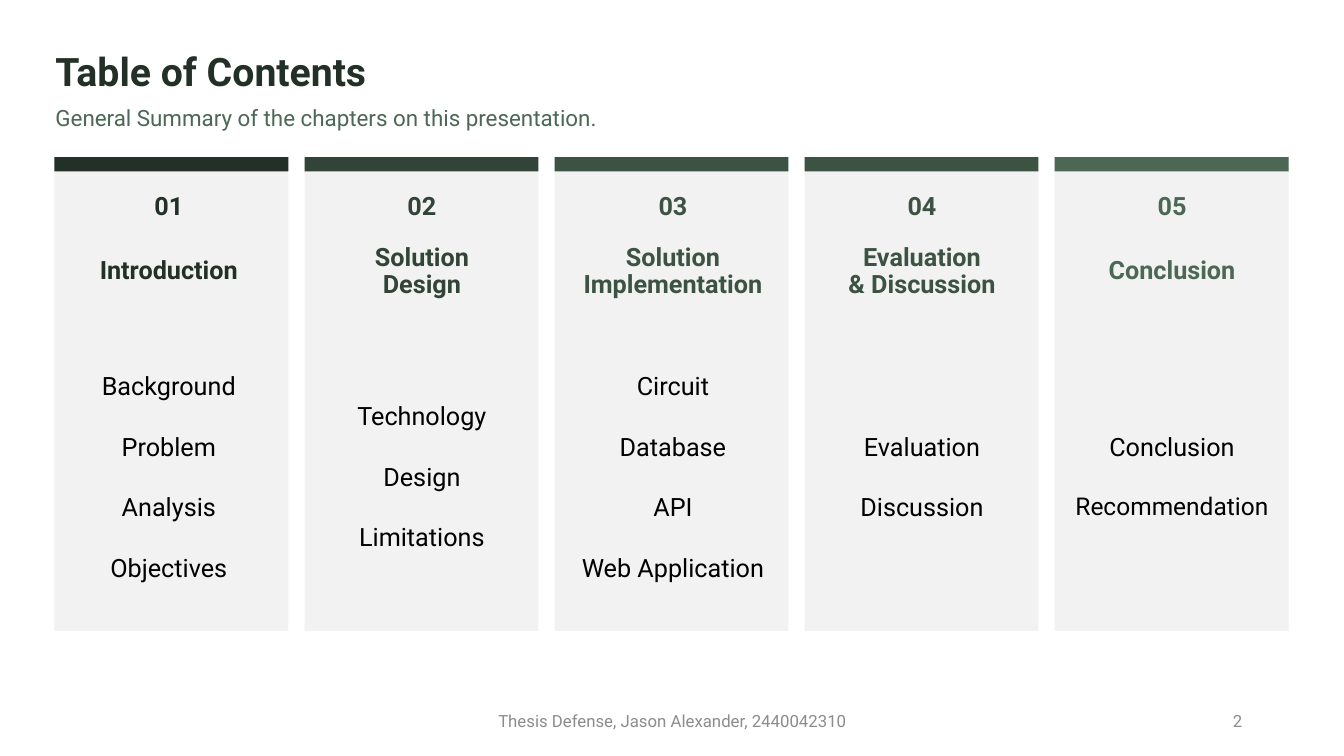
from lxml.etree import SubElement
from pptx import Presentation
from pptx.dml.color import RGBColor
from pptx.enum.shapes import MSO_SHAPE
from pptx.enum.text import MSO_ANCHOR, MSO_AUTO_SIZE, PP_ALIGN
from pptx.oxml.ns import qn
from pptx.util import Inches, Pt

FONT = "Roboto"
DARK, LIGHT, PANEL, GREY, BLACK = "233027", "4C6855", "F2F2F2", "8C8C8C", "000000"

# Number, colour, text inset, heading, topics
CHAPTERS = [
    ("01", DARK, 0.07, "Introduction",
     ["Background", "Problem\vAnalysis", "Objectives"]),
    ("02", "324438", 0.1, "Solution\vDesign", ["Technology", "Design", "Limitations"]),
    ("03", "3C5243", 0.11, "Solution\vImplementation",
     ["Circuit", "Database", "API", "Web Application"]),
    ("04", "3C5243", 0.1, "Evaluation\v& Discussion", ["Evaluation", "Discussion"]),
    ("05", LIGHT, 0.1, "Conclusion", ["Conclusion", "Recommendation"]),
]


def color(hex_string):
    return RGBColor.from_string(hex_string)


def place(shape, left, top, width, height):
    shape.left, shape.top = Inches(left), Inches(top)
    shape.width, shape.height = Inches(width), Inches(height)


def write(shape, lines, size, hex_string, bold=False, align=PP_ALIGN.CENTER,
          spacing=0.9, anchor=MSO_ANCHOR.MIDDLE):
    frame = shape.text_frame
    frame.word_wrap = True
    frame.auto_size = MSO_AUTO_SIZE.NONE
    frame.vertical_anchor = anchor
    frame.text = "\n".join(lines)
    for paragraph in frame.paragraphs:
        properties = paragraph._p.get_or_add_pPr()
        properties.set("marL", "0")
        properties.set("indent", "0")
        SubElement(properties, qn("a:buNone"))
        paragraph.alignment = align
        paragraph.line_spacing = spacing
        paragraph.space_before = Pt(0)
        font = paragraph.font
        font.name, font.size, font.bold = FONT, Pt(size), bold
        font.color.rgb = color(hex_string)


def add_text(slide, box, lines, size, hex_string, **style):
    shape = slide.shapes.add_textbox(*map(Inches, box))
    write(shape, lines, size, hex_string, **style)
    return shape


def add_rectangle(slide, box, hex_string):
    shape = slide.shapes.add_shape(MSO_SHAPE.RECTANGLE, *map(Inches, box))
    shape.shadow.inherit = False
    shape.fill.solid()
    shape.fill.fore_color.rgb = color(hex_string)
    shape.line.fill.background()


def add_header(slide, left, top, width, height):
    row = height / 2
    title, subtitle = slide.placeholders
    style = {"align": PP_ALIGN.LEFT, "anchor": MSO_ANCHOR.TOP}
    place(title, left, top, width, row)
    write(title, ["Table of Contents"], 28, DARK, bold=True, **style)
    place(subtitle, left, top + row, width, row)
    write(subtitle, ["General Summary of the chapters on this presentation."],
          16, LIGHT, **style)


def add_chapter(slide, left, top, width, height, chapter):
    number, accent, inset, heading, topics = chapter
    # Panel and coloured top bar
    add_rectangle(slide, (left, top, width, height), PANEL)
    add_rectangle(slide, (left, top, width, 0.14), accent)
    # Number, heading and topics
    text_left, text_width = left + inset, width - 0.19
    for offset, text in ((0.16, number), (0.8, heading)):
        add_text(slide, (text_left, top + offset, text_width, 0.67), [text],
                 18, accent, bold=True)
    topic_box = (text_left, top + 1.45, text_width, height - 1.57)
    shape = add_text(slide, topic_box, topics, 18, BLACK, spacing=2)
    for paragraph in shape.text_frame.paragraphs:
        if paragraph.text == "Recommendation":
            paragraph.font.size = Pt(17.5)


def add_footer(slide, top, height):
    add_text(slide, (4.42, top, 4.5, height),
             ["Thesis Defense, Jason Alexander, 2440042310"], 12, GREY, spacing=1)
    add_text(slide, (9.42, top, 3, height), ["2"], 12, GREY,
             align=PP_ALIGN.RIGHT, spacing=1)


def main():
    presentation = Presentation()
    presentation.slide_width = Inches(13.33)
    presentation.slide_height = Inches(7.5)
    slide = presentation.slides.add_slide(presentation.slide_layouts[1])
    add_header(slide, 0.45, 0.47, 10.85, 1.09)
    # Five equal columns
    for index, chapter in enumerate(CHAPTERS):
        add_chapter(slide, 0.54 + index * 2.48, 1.56, 2.32, 4.7, chapter)
    add_footer(slide, 6.95, 0.4)
    presentation.save("out.pptx")


if __name__ == "__main__":
    main()
